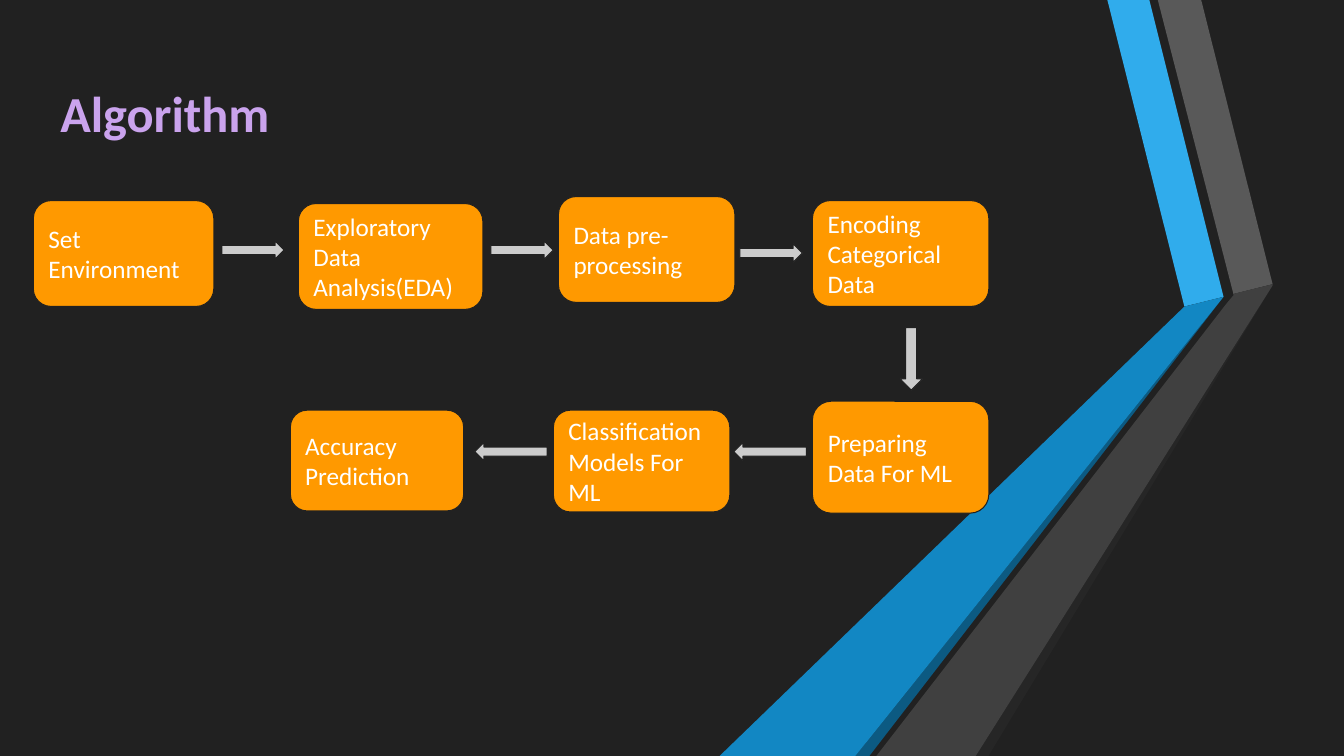
from pptx import Presentation
from pptx import util as u
from pptx.dml import color
from pptx.enum import shapes, text

BACKGROUND = "212121"
ORANGE = "FF9900"
ARROW_GREY = "CCCCCC"
FONT = "Calibri"

RIBBONS = [
    ("30ACEC", [(874.1, 211.7), (846, 218.9), (790.6, 0), (820.8, 0)]),
    ("595959", [(880.6, 210.2), (827.3, 0), (857.5, 0), (908.6, 203)]),
    ("262626", [(908.6, 203.8), (706.3, 540), (697, 540)]),
    ("0C5A82", [(611.3, 540), (874.1, 212.4), (621.4, 540)]),
    ("1287C3", [(874.1, 211.7), (874.1, 212.4), (611.3, 540), (514.1, 540), (846, 218.9)]),
    ("404040", [(626.4, 540), (875.5, 217.4), (880.6, 211), (880.6, 210.2),
                (908.6, 203), (908.6, 203.8), (697, 540)]),
]

STEPS = [
    ("Set Environment", (23.8, 143.3, 128.9, 75.6)),
    ("Exploratory Data Analysis(EDA)", (213.1, 145.4, 131.8, 75.6)),
    ("Data pre-processing", (398.9, 140.4, 126, 75.6)),
    ("Encoding Categorical Data", (580.3, 143.3, 126, 75.6)),
    ("Preparing Data For ML", (580.3, 286.6, 126, 79.9)),
    ("Classification Models For ML", (395.3, 293, 126, 72.7)),
    ("Accuracy Prediction", (207.4, 293, 123.8, 72)),
]

RIGHT = shapes.MSO_SHAPE.RIGHT_ARROW
DOWN = shapes.MSO_SHAPE.DOWN_ARROW
LEFT = shapes.MSO_SHAPE.LEFT_ARROW
ARROWS = [
    (RIGHT, (158.4, 172.1, 44.6, 13)),
    (RIGHT, (350.6, 172.1, 44.6, 13)),
    (RIGHT, (528.5, 174.2, 44.6, 13)),
    (DOWN, (643, 234, 15.8, 44.6)),
    (LEFT, (524.2, 316.1, 51.8, 13)),
    (LEFT, (339.1, 316.1, 51.8, 13)),
]


def paint(fill, hex_color):
    fill.solid()
    fill.fore_color.rgb = color.RGBColor.from_string(hex_color)


def write(shape, content, size=18, hex_color="FFFFFF", bold=False, inset=7.2, inset_y=7.2):
    frame = shape.text_frame
    frame.word_wrap = True
    frame.vertical_anchor = text.MSO_ANCHOR.MIDDLE
    frame.margin_left = frame.margin_right = u.Pt(inset)
    frame.margin_top = frame.margin_bottom = u.Pt(inset_y)
    paragraph = frame.paragraphs[0]
    paragraph.alignment = text.PP_ALIGN.LEFT
    run = paragraph.add_run()
    run.text = content
    run.font.name = FONT
    run.font.size = u.Pt(size)
    run.font.bold = bold
    run.font.color.rgb = color.RGBColor.from_string(hex_color)


def add_ribbon(slide, hex_color, points):
    builder = slide.shapes.build_freeform(*points[0], scale=float(u.Pt(1)))
    builder.add_line_segments(points[1:], close=True)
    ribbon = builder.convert_to_shape()
    ribbon.shadow.inherit = False
    paint(ribbon.fill, hex_color)
    ribbon.line.fill.background()


def add_outlined(slide, kind, box, hex_color):
    """Add a preset shape with a thin outline in the background colour."""
    shape = slide.shapes.add_shape(kind, *map(u.Pt, box))
    shape.shadow.inherit = False
    paint(shape.fill, hex_color)
    paint(shape.line.fill, BACKGROUND)
    shape.line.width = u.Pt(0.75)
    return shape


def main():
    presentation = Presentation()
    presentation.slide_width = u.Pt(960)
    presentation.slide_height = u.Pt(540)
    slide = presentation.slides.add_slide(presentation.slide_layouts[6])
    paint(slide.background.fill, BACKGROUND)

    for hex_color, points in RIBBONS:
        add_ribbon(slide, hex_color, points)

    title = slide.shapes.add_textbox(u.Pt(36), u.Pt(54), u.Pt(676), u.Pt(51.8))
    write(title, "Algorithm", size=36, hex_color="CAA3ED", bold=True, inset_y=3.6)

    for label, box in STEPS:
        step = add_outlined(slide, shapes.MSO_SHAPE.ROUNDED_RECTANGLE, box, ORANGE)
        write(step, label)
    for kind, box in ARROWS:
        add_outlined(slide, kind, box, ARROW_GREY)

    presentation.save("out.pptx")


if __name__ == "__main__":
    main()
